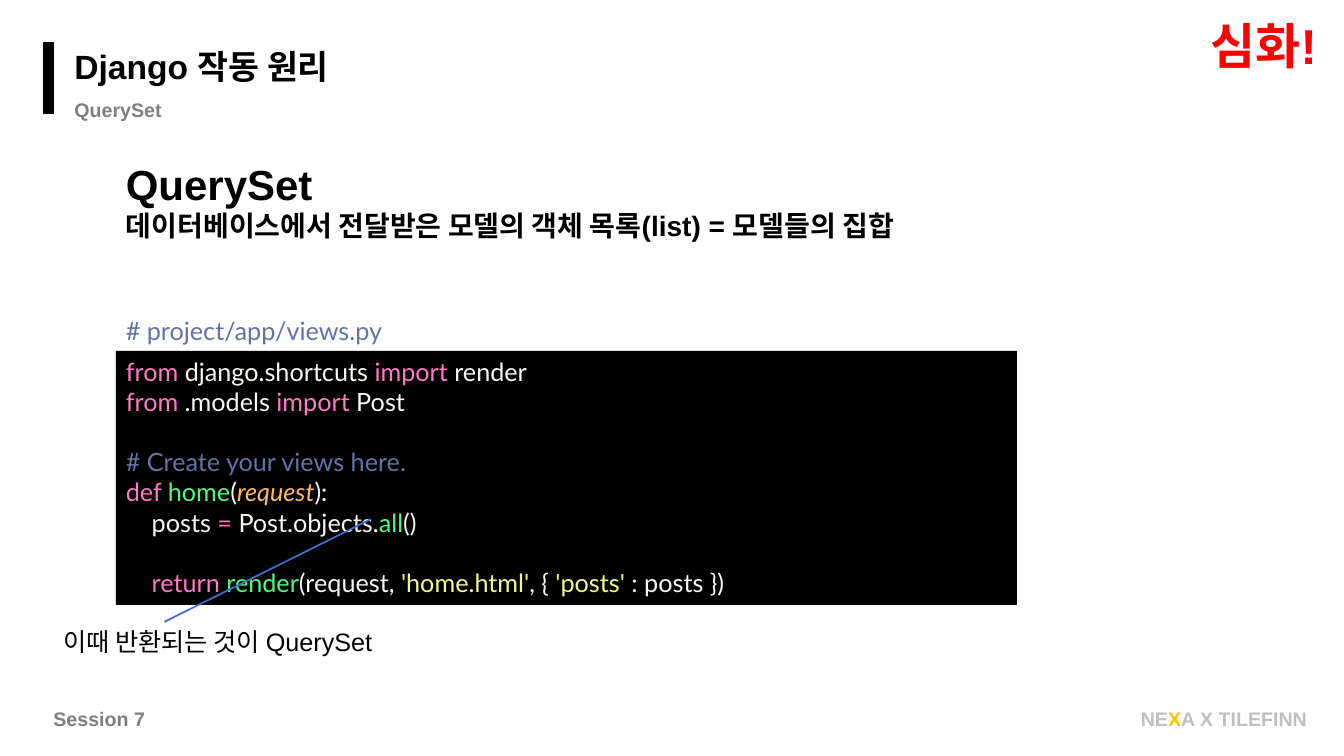
from dataclasses import dataclass

from lxml import etree
from pptx import Presentation
from pptx.dml.color import RGBColor
from pptx.enum.shapes import MSO_CONNECTOR, MSO_SHAPE
from pptx.enum.text import MSO_ANCHOR, PP_ALIGN
from pptx.oxml.ns import qn
from pptx.util import Pt

RECT = MSO_SHAPE.RECTANGLE
STRAIGHT = MSO_CONNECTOR.STRAIGHT
TOP = MSO_ANCHOR.TOP
LEFT = PP_ALIGN.LEFT

BLACK, GREY, SILVER, GOLD, RED = "000000", "7F7F7F", "BFBFBF", "FFC000", "FF0000"
PINK, WHITE, GREEN, ORANGE = "FF79C6", "F8F8F2", "50FA7B", "FFB86C"
COMMENT, YELLOW, QUOTE = "6272A4", "F1FA8C", "E9F284"

CODE_LINE = 21.6  # height of one line of code
CODE_INDENT = 18.5


@dataclass
class Run:
    text: str
    color: str = BLACK
    italic: bool = False


@dataclass
class Line:
    runs: list[Run]
    size: float
    font: str = "Arial"
    bold: bool = False
    indent: float = 0
    before: float = 0


@dataclass
class Label:
    box: tuple[float, float, float, float]
    lines: list[Line]


def rgb(color: str) -> RGBColor:
    return RGBColor.from_string(color)


def write(tf, lines: list[Line]) -> None:
    tf.word_wrap = True
    tf.vertical_anchor = TOP
    for i, line in enumerate(lines):
        p = tf.paragraphs[0] if i == 0 else tf.add_paragraph()
        p.alignment = LEFT
        if line.before:
            p.space_before = Pt(line.before)
        if line.indent:
            p._p.get_or_add_pPr().set("marL", str(Pt(line.indent)))
        for run in line.runs:
            r = p.add_run()
            r.text = run.text
            r.font.name = line.font
            r.font.size = Pt(line.size)
            r.font.bold = line.bold
            r.font.italic = run.italic
            r.font.color.rgb = rgb(run.color)


def add_label(s, label: Label) -> None:
    write(s.shapes.add_textbox(*map(Pt, label.box)).text_frame, label.lines)


def add_block(s, box: tuple[float, float, float, float]):
    sp = s.shapes.add_shape(RECT, *map(Pt, box))
    sp.shadow.inherit = False
    sp.fill.solid()
    sp.fill.fore_color.rgb = rgb(BLACK)
    sp.line.fill.background()
    return sp


def bold(text: str, size: float, color: str = BLACK) -> Line:
    return Line([Run(text, color)], size, bold=True)


def code(*runs: Run, indent: float = 0, before: float = 0) -> Line:
    return Line(list(runs), 18, "Lato", indent=indent, before=before)


def quoted(text: str) -> list[Run]:
    return [Run("'", QUOTE), Run(text, YELLOW), Run("'", QUOTE)]


LABELS = [
    # Header
    Label((46.1, 29.5, 225.4, 36), [bold("Django 작동 원리", 24)]),
    Label((46.1, 66.2, 203.8, 24.5), [bold("QuerySet", 14, GREY)]),
    Label((857.5, 7.2, 103, 49.7), [bold("심화!", 35, RED)]),
    # Footer
    Label((31, 501.1, 82, 24.5), [bold("Session 7", 14, GREY)]),
    Label((807.8, 501.1, 135.4, 24.5), [
        Line([Run("NE", SILVER), Run("X", GOLD), Run("A X TILEFINN", SILVER)],
             14, bold=True)]),
    # Definition
    Label((82.8, 109.4, 618.5, 67.7), [
        bold("QuerySet", 30),
        bold("데이터베이스에서 전달받은 모델의 객체 목록(list) = 모델들의 집합", 20)]),
    # Captions above and below the code
    Label((82.8, 221.8, 275.8, 28.8), [code(Run("# project/app/views.py", COMMENT))]),
    Label((38.2, 444.2, 255.6, 28.8),
          [Line([Run("이때 반환되는 것이 QuerySet")], 18)]),
]

CODE = [
    code(Run("from ", PINK), Run("django.shortcuts ", WHITE),
         Run("import", PINK), Run(" render", WHITE)),
    code(Run("from", PINK), Run(" .models ", WHITE),
         Run("import", PINK), Run(" Post", WHITE)),
    code(Run("# Create your views here.", COMMENT), before=CODE_LINE),
    code(Run("def ", PINK), Run("home", GREEN), Run("(", WHITE),
         Run("request", ORANGE, italic=True), Run("):", WHITE)),
    code(Run("posts ", WHITE), Run("= ", PINK), Run("Post.objects.", WHITE),
         Run("all", GREEN), Run("()", WHITE), indent=CODE_INDENT),
    code(Run("return ", PINK), Run("render", GREEN), Run("(request, ", WHITE),
         *quoted("home.html"), Run(", { ", WHITE), *quoted("posts"),
         Run(" : posts })", WHITE), indent=CODE_INDENT, before=CODE_LINE),
]


def main() -> None:
    prs = Presentation()
    prs.slide_width, prs.slide_height = Pt(960), Pt(540)
    s = prs.slides.add_slide(prs.slide_layouts[6])

    # Title bar
    bar = add_block(s, (31, 30.2, 7.2, 51.1))
    bar.line.color.rgb = rgb(BLACK)
    bar.line.width = Pt(1)

    # Code panel
    write(add_block(s, (82.8, 250.6, 643.7, 181.4)).text_frame, CODE)

    # Pointer from the query to its explanation
    pointer = s.shapes.add_connector(
        STRAIGHT, Pt(265), Pt(370.8), Pt(117.4), Pt(444.2))
    pointer.line.color.rgb = rgb("3F6FC3")
    pointer.line.width = Pt(1.25)
    etree.SubElement(pointer._element.spPr, qn("a:effectLst"))

    # Texts
    for label in LABELS:
        add_label(s, label)

    prs.save("out.pptx")


if __name__ == "__main__":
    main()
